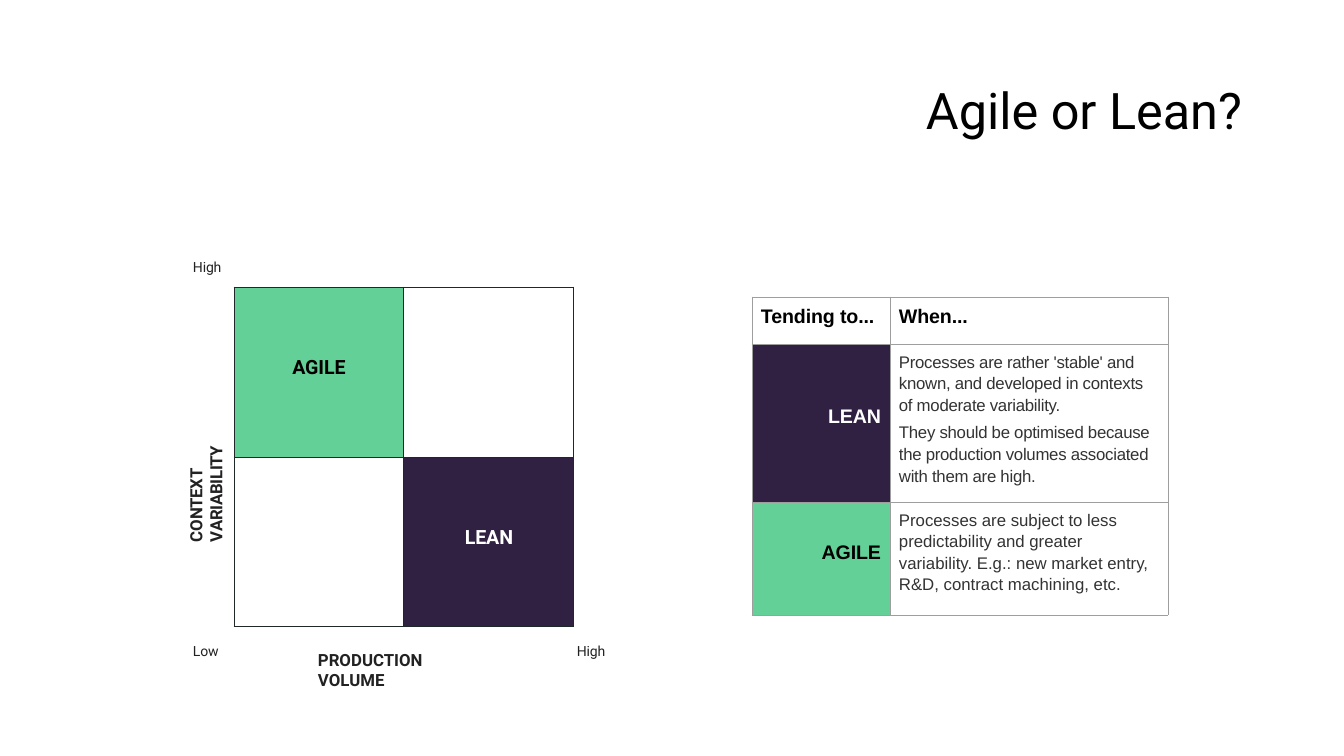
"""Build the "Agile or Lean?" slide: a quadrant matrix and a decision table."""
from lxml.etree import SubElement
from pptx import Presentation
from pptx.dml.color import RGBColor
from pptx.enum.text import MSO_ANCHOR as Anchor, PP_ALIGN as Align
from pptx.oxml.ns import qn
from pptx.util import Pt

PX = 914400 / 100.8
COLORS = {
    "black": "000000", "white": "FFFFFF", "green": "63D197", "purple": "302142",
    "label": "222222", "body": "333333", "matrix line": "202729", "table line": "9E9E9E",
}


def px(length):
    return round(length * PX)


def write(frame, paragraphs, size, font, color, bold=False, align=Align.LEFT,
          tracking=0, leading=None, gap=0):
    frame.word_wrap = True
    for index, words in enumerate(paragraphs):
        para = frame.paragraphs[0] if index == 0 else frame.add_paragraph()
        para.text = words
        para.alignment = align
        if leading:
            para.line_spacing = leading
        if index:
            para.space_before = Pt(gap)
        for span in para.runs:
            span.font.size = Pt(size)
            span.font.name = font
            span.font.bold = bold
            span.font.color.rgb = RGBColor.from_string(COLORS[color])
            span._r.get_or_add_rPr().set("spc", str(tracking))


deck = Presentation()
deck.slide_width, deck.slide_height = px(1344), px(756)
page = deck.slides.add_slide(deck.slide_layouts[6])

title = page.shapes.add_textbox(px(93), px(40), px(1159), px(146))
title.text_frame.vertical_anchor = Anchor.MIDDLE
write(title.text_frame, ["Agile or Lean?"], 36, "Roboto", "black",
      align=Align.RIGHT, leading=0.9)

grids = []
for left, top, widths, heights, line in [
    (234, 287, [170, 170], [170, 170], "matrix line"),
    (752, 297, [138, 278], [47, 158, 113], "table line"),
]:
    grid = page.shapes.add_table(len(heights), len(widths), px(left), px(top),
                                 px(sum(widths)), px(sum(heights))).table
    grid.first_row = grid.horz_banding = False
    for column, width in zip(grid.columns, widths):
        column.width = px(width)
    for row, height in zip(grid.rows, heights):
        row.height = px(height)
    for cell in grid.iter_cells():
        cell.margin_left = cell.margin_right = cell.margin_top = cell.margin_bottom = 0
        for side in ("a:lnL", "a:lnR", "a:lnT", "a:lnB"):
            border = SubElement(cell._tc.get_or_add_tcPr(), qn(side), w=str(Pt(0.75)))
            fill = SubElement(border, qn("a:solidFill"))
            SubElement(fill, qn("a:srgbClr"), val=COLORS[line])
        cell.fill.background()
    grids.append(grid)
matrix, guide = grids

for grid, row, column, words, fill, color, font, align, inset_top, inset_right in [
    (matrix, 0, 0, "AGILE", "green", "black", "Roboto", Align.CENTER, 69, 0),
    (matrix, 1, 1, "LEAN", "purple", "white", "Roboto", Align.CENTER, 69, 0),
    (guide, 1, 0, "LEAN", "purple", "white", "Arial", Align.RIGHT, 62, 9),
    (guide, 2, 0, "AGILE", "green", "black", "Arial", Align.RIGHT, 40, 9),
]:
    cell = grid.cell(row, column)
    cell.fill.solid()
    cell.fill.fore_color.rgb = RGBColor.from_string(COLORS[fill])
    cell.margin_top, cell.margin_right = px(inset_top), px(inset_right)
    write(cell.text_frame, [words], 14, font, color, True, align, -10)

for column, heading in enumerate(["Tending to...", "When..."]):
    cell = guide.cell(0, column)
    cell.margin_left = cell.margin_top = px(9)
    write(cell.text_frame, [heading], 14, "Arial", "black", True, tracking=-10)

for row, tracking, reasons in [
    (1, -20, [
        "Processes are rather 'stable' and known, and developed in contexts "
        "of moderate variability.",
        "They should be optimised because the production volumes associated "
        "with them are high.",
    ]),
    (2, 0, [
        "Processes are subject to less predictability and greater variability. "
        "E.g.: new market entry, R&D, contract machining, etc.",
    ]),
]:
    cell = guide.cell(row, 1)
    cell.margin_left, cell.margin_top, cell.margin_right = px(9), px(6), px(14)
    write(cell.text_frame, reasons, 12, "Arial", "body",
          tracking=tracking, leading=1.15, gap=4.2)

for words, left, top, width, height, size, bold, tracking, leading, vertical in [
    ("CONTEXT VARIABILITY", 185, 373, 40, 169, 12, True, -20, Pt(14.2), True),
    ("PRODUCTION VOLUME", 317, 649, 172, 42, 12, True, 0, None, False),
    ("Low", 192, 642, 41, 18, 10, False, -10, None, False),
    ("High", 576, 642, 41, 18, 10, False, -10, None, False),
    ("High", 192, 258, 41, 18, 10, False, -10, None, False),
]:
    box = page.shapes.add_textbox(px(left), px(top), px(width), px(height))
    frame = box.text_frame
    frame.margin_left = px(1)
    frame.margin_right = frame.margin_bottom = 0
    frame.margin_top = 0 if vertical else px(1)
    if vertical:
        frame._txBody.bodyPr.set("vert", "vert270")
    write(frame, [words], size, "Roboto", "label", bold, tracking=tracking, leading=leading)

deck.save("out.pptx")
